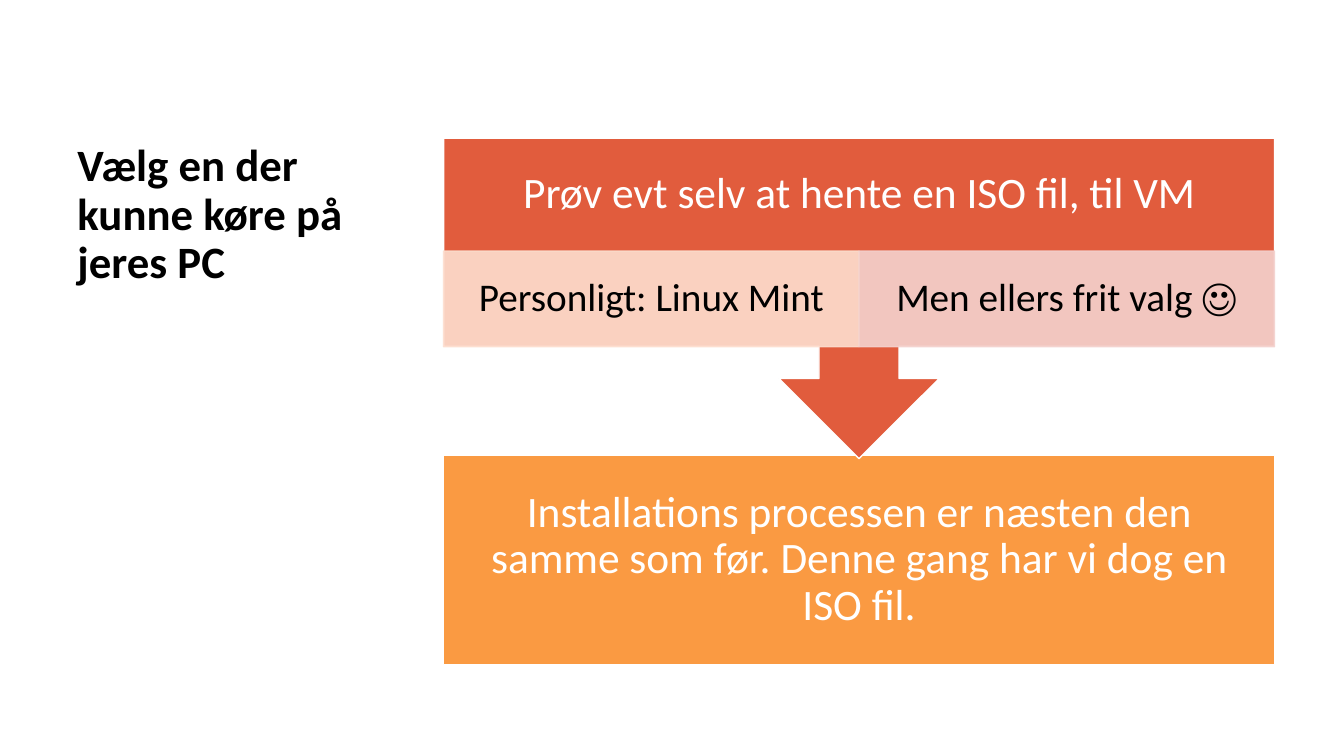
from lxml.etree import SubElement
from pptx import Presentation
from pptx.dml.color import RGBColor
from pptx.enum.shapes import MSO_SHAPE as Shape
from pptx.enum.text import MSO_ANCHOR as Anchor, PP_ALIGN as Align
from pptx.oxml.ns import qn
from pptx.util import Pt

PX = 9144
COLOURS = {
    "black": "000000",
    "white": "FFFFFF",
    "red": "E15C3D",
    "orange": "FA9A42",
    "peach": "FDDECF",
    "rose": "F4D2CE",
}


class SlideBuilder:
    font = "Calibri"

    def __init__(self, deck):
        self.page = deck.slides.add_slide(deck.slide_layouts[6])

    def colour(self, name):
        return RGBColor.from_string(COLOURS[name])

    def label(self, box, words, size, colour="white", bold=False,
              align=Align.CENTER, anchor=Anchor.MIDDLE, inset=(24, 24)):
        frame = box.text_frame
        across, down = (length * PX for length in inset)
        frame_format = {
            "word_wrap": True, "vertical_anchor": anchor,
            "margin_left": across, "margin_right": across,
            "margin_top": down, "margin_bottom": down,
        }
        para = frame.paragraphs[0]
        span = para.add_run()
        span.text = words
        para_format = {"alignment": align, "line_spacing": 0.9}
        font_format = {"name": self.font, "size": Pt(size), "bold": bold}
        for target, values in ((frame, frame_format), (para, para_format),
                               (span.font, font_format)):
            for key, value in values.items():
                setattr(target, key, value)
        span.font.color.rgb = self.colour(colour)

    def text(self, place, words, size, **style):
        box = self.page.shapes.add_textbox(*(length * PX for length in place))
        self.label(box, words, size, **style)

    def block(self, place, fill, line="white", kind=Shape.RECTANGLE, opacity=100):
        box = self.page.shapes.add_shape(kind, *(length * PX for length in place))
        box.shadow.inherit = False
        box.fill.solid()
        box.fill.fore_color.rgb = self.colour(fill)
        box.line.color.rgb = self.colour(line)
        box.line.width = Pt(1)
        if opacity < 100:
            for tint in box._element.spPr.iter(qn("a:srgbClr")):
                SubElement(tint, qn("a:alpha"), val=str(opacity * 1000))
        return box


def main():
    deck = Presentation()
    deck.slide_width, deck.slide_height = 1333 * PX, 750 * PX
    slide = SlideBuilder(deck)
    left, top, width = 440, 137, 824

    slide.text((67, top, 318, 522), "Vælg en der kunne køre på jeres PC", 32,
               colour="black", bold=True, align=Align.LEFT,
               anchor=Anchor.TOP, inset=(10, 5))

    process = slide.block((left, 452, width, 207), "orange")
    slide.label(process, "Installations processen er næsten den samme som før. "
                "Denne gang har vi dog en ISO fil.", 31)

    callout = slide.block((left, top, width, 318), "red", kind=Shape.UP_ARROW_CALLOUT)
    callout.rotation = 180
    slide.text((left, top, width, 111), "Prøv evt selv at hente en ISO fil, til VM", 31)

    choices = (("Personligt: Linux Mint", "peach"), ("Men ellers frit valg ☺", "rose"))
    choice_width = width // len(choices)
    for index, (words, tint) in enumerate(choices):
        place = (left + index * choice_width, 249, choice_width, 95)
        choice = slide.block(place, tint, line=tint, opacity=90)
        slide.label(choice, words, 28, colour="black", inset=(22, 4))

    deck.save("out.pptx")


if __name__ == "__main__":
    main()
